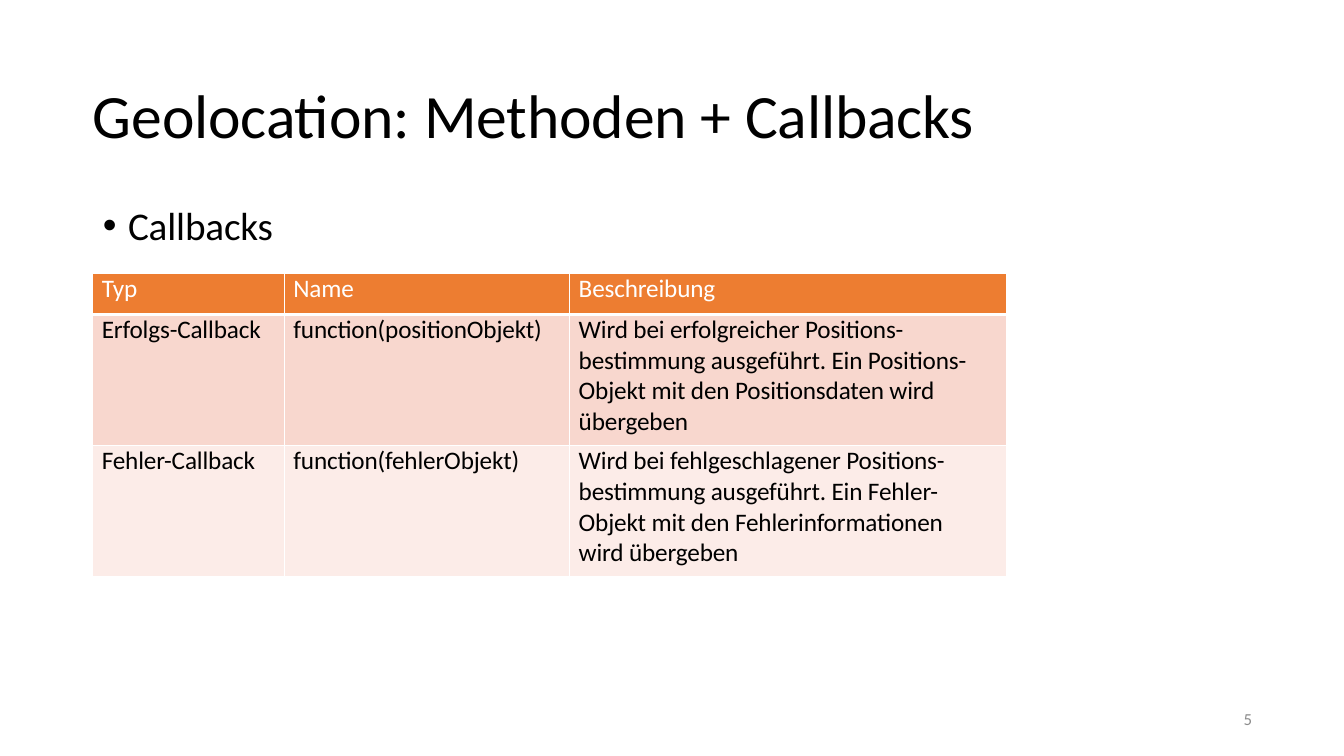
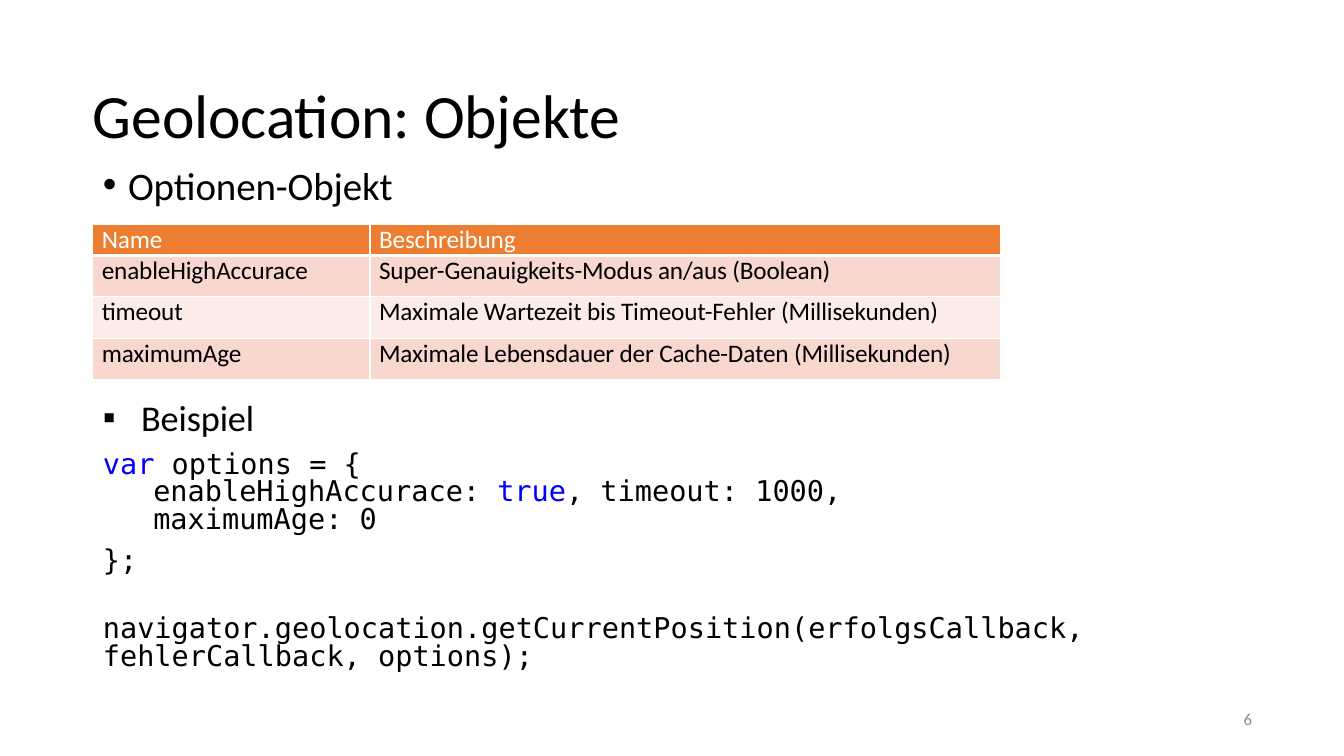
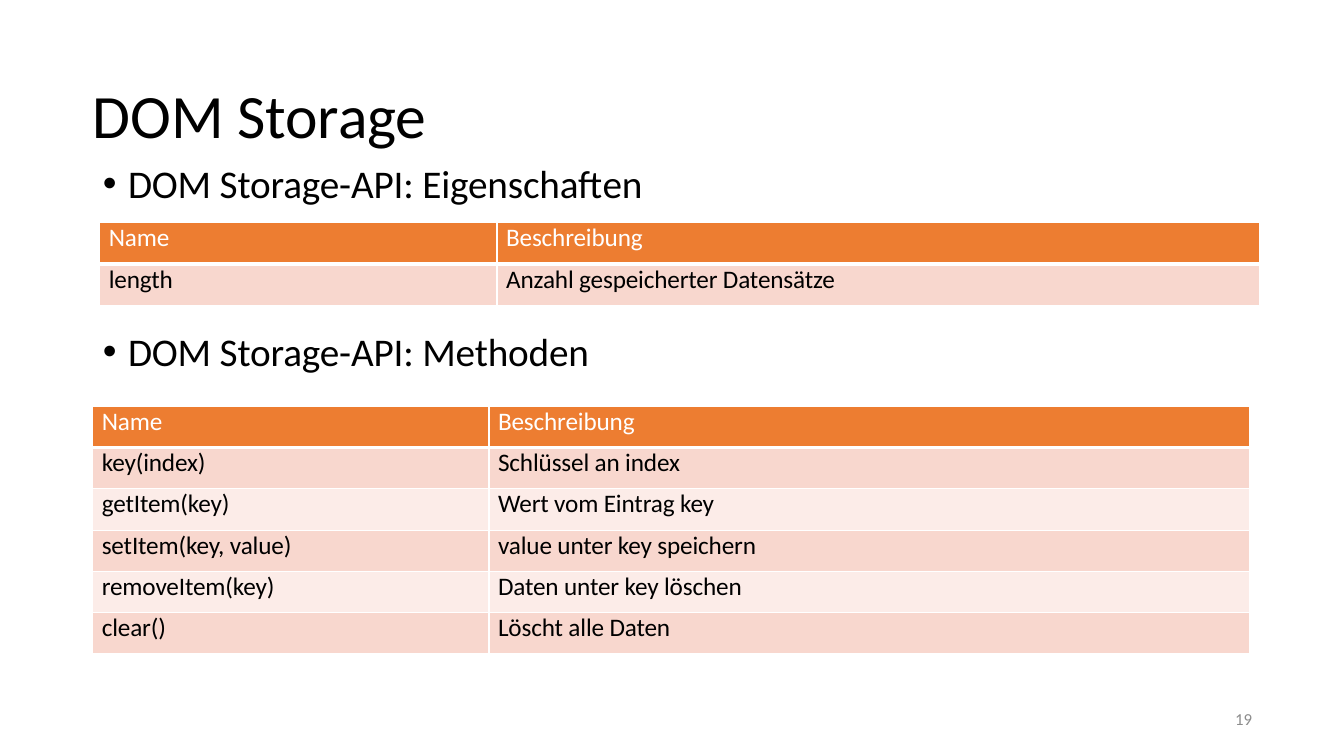
from lxml import etree
from pptx import Presentation
from pptx.dml.color import RGBColor
from pptx.enum.text import MSO_ANCHOR, MSO_AUTO_SIZE, PP_ALIGN
from pptx.oxml.ns import qn
from pptx.util import Emu, Pt

MIDDLE, TOP = MSO_ANCHOR.MIDDLE, MSO_ANCHOR.TOP
NO_FIT = MSO_AUTO_SIZE.NONE
LEFT, RIGHT = PP_ALIGN.LEFT, PP_ALIGN.RIGHT

EMU_PER_PX = 9144
SANS, MONO = "Calibri", "DejaVu Sans Mono"
COLORS = {
    "text": "000000",
    "header_text": "FFFFFF",
    "number": "8C8C8C",
    "keyword": "0000FF",
    "header": "ED7D31",
    "band_dark": "F8D7CE",
    "band_light": "FCECE8",
    "border": "FFFFFF",
}
MARGIN, CONTENT_WIDTH = 92, 1150


def px(length):
    """Turn pixels into EMU."""
    return Emu(length * EMU_PER_PX)


def color(name):
    """Look up a palette colour."""
    return RGBColor.from_string(COLORS[name])


def place(shape, left, top, width, height):
    """Move and size a shape in pixels."""
    shape.left, shape.top = px(left), px(top)
    shape.width, shape.height = px(width), px(height)


def set_frame(frame, anchor, inset_x=0, inset_y=0):
    """Set anchor, wrapping and insets of a text frame."""
    frame.auto_size = NO_FIT
    frame.word_wrap = True
    frame.vertical_anchor = anchor
    frame.margin_left = frame.margin_right = px(inset_x)
    frame.margin_top = frame.margin_bottom = px(inset_y)


def write(paragraph, parts, size, font=SANS, spacing=-10):
    """Write (text, colour) parts, where a newline is a line break."""
    for text, color_name in parts:
        for index, line in enumerate(text.split("\n")):
            if index:
                paragraph.add_line_break()
            run = paragraph.add_run()
            run.text = line
            run.font.name = font
            run.font.size = Pt(size)
            run.font.bold = False
            run.font.color.rgb = color(color_name)
            run.font._element.set("spc", str(spacing))
    for line_break in paragraph._p.findall(qn("a:br")):
        etree.SubElement(line_break, qn("a:rPr"), sz=str(round(size * 100)))


def add_title_slide(deck, title, number):
    """Add a slide with its title and page number."""
    slide = deck.slides.add_slide(deck.slide_layouts[1])
    heading = slide.shapes.title
    place(heading, MARGIN, 40, CONTENT_WIDTH, 145)
    set_frame(heading.text_frame, MIDDLE)
    paragraph = heading.text_frame.paragraphs[0]
    paragraph.alignment = LEFT
    write(paragraph, [(title, "text")], 44)

    page = slide.shapes.add_textbox(px(942), px(695), px(300), px(40))
    set_frame(page.text_frame, MIDDLE)
    paragraph = page.text_frame.paragraphs[0]
    paragraph.alignment = RIGHT
    paragraph.line_spacing = Pt(12.4)
    write(paragraph, [(str(number), "number")], 12, spacing=0)
    return slide


def start_body(slide, top, height):
    """Place the body placeholder and return its text frame."""
    body = slide.placeholders[1]
    place(body, MARGIN, top, CONTENT_WIDTH, height)
    set_frame(body.text_frame, TOP, 10, 5)
    return body.text_frame


def next_paragraph(frame, line_spacing, before, indent):
    """Return a spaced paragraph with a hanging indent."""
    paragraph = frame.paragraphs[0]
    if paragraph.runs:
        paragraph = frame.add_paragraph()
    paragraph.line_spacing = line_spacing
    paragraph.space_before = Pt(before)
    properties = paragraph._p.get_or_add_pPr()
    properties.set("marL", str(px(indent)))
    properties.set("indent", str(-px(indent)))
    return paragraph


def add_bullet(frame, text, size=28, line_spacing=0.9, before=10, indent=25, mark="•"):
    """Add a bulleted line to the body."""
    paragraph = next_paragraph(frame, line_spacing, before, indent)
    properties = paragraph._p.get_or_add_pPr()
    etree.SubElement(properties, qn("a:buFont"), typeface="Arial")
    etree.SubElement(properties, qn("a:buChar"), char=mark)
    write(paragraph, [(text, "text")], size)


def add_code(frame, parts, before=10):
    """Add a code paragraph with a one-inch tab stop."""
    paragraph = next_paragraph(frame, 0.8, before, 0)
    properties = paragraph._p.get_or_add_pPr()
    etree.SubElement(properties, qn("a:buNone"))
    tabs = etree.SubElement(properties, qn("a:tabLst"))
    etree.SubElement(tabs, qn("a:tab"), pos=str(px(100)), algn="l")
    write(paragraph, parts, 20.4, MONO, 0)


def set_borders(cell, bottom):
    """Draw white cell borders with the given bottom width."""
    properties = cell._tc.get_or_add_tcPr()
    widths = {"lnL": 1, "lnR": 1, "lnT": 1, "lnB": bottom}
    for index, (side, width) in enumerate(widths.items()):
        line = etree.Element(qn(f"a:{side}"), w=str(Pt(width)))
        fill = etree.SubElement(line, qn("a:solidFill"))
        etree.SubElement(fill, qn("a:srgbClr"), val=COLORS["border"])
        properties.insert(index, line)


def fill_cell(cell, text, text_color, background, before, bottom):
    """Format one table cell and write its text."""
    cell.margin_left = px(9)
    cell.margin_right = cell.margin_top = cell.margin_bottom = 0
    cell.fill.solid()
    cell.fill.fore_color.rgb = color(background)
    set_borders(cell, bottom)
    paragraph = cell.text_frame.paragraphs[0]
    paragraph.space_before = Pt(before)
    write(paragraph, [(text, text_color)], 18)


def add_banded_table(slide, left, top, widths, heights, rows, first_gap=0.9, later_gap=1.9):
    """Add a table with an orange header and alternating bands."""
    table = slide.shapes.add_table(
        len(rows), len(widths), px(left), px(top), px(sum(widths)), px(sum(heights))
    ).table
    for column, width in zip(table.columns, widths):
        column.width = px(width)
    for index, (row, height, texts) in enumerate(zip(table.rows, heights, rows)):
        row.height = px(height)
        if index == 0:
            look = ("header_text", "header", 1.9, 3)
        else:
            band = "band_dark" if index % 2 else "band_light"
            look = ("text", band, first_gap if index == 1 else later_gap, 1)
        for cell, text in zip(row.cells, texts):
            fill_cell(cell, text, *look)


def build_callbacks(deck):
    """Build the slide on callbacks."""
    slide = add_title_slide(deck, "Geolocation: Methoden + Callbacks", 5)
    add_bullet(start_body(slide, 200, 476), "Callbacks")
    add_banded_table(slide, MARGIN, 271, [190, 283, 433], [41, 130, 130], [
        ("Typ", "Name", "Beschreibung"),
        ("Erfolgs-Callback", "function(positionObjekt)",
         "Wird bei erfolgreicher Positions-\nbestimmung ausgeführt. Ein Positions-\n"
         "Objekt mit den Positionsdaten wird\nübergeben"),
        ("Fehler-Callback", "function(fehlerObjekt)",
         "Wird bei fehlgeschlagener Positions-\nbestimmung ausgeführt. Ein Fehler-\n"
         "Objekt mit den Fehlerinformationen\nwird übergeben"),
    ])


def build_options(deck):
    """Build the slide on the options object."""
    slide = add_title_slide(deck, "Geolocation: Objekte", 6)
    body = start_body(slide, 164, 547)
    add_bullet(body, "Optionen-Objekt", 27.8, 0.8)
    add_bullet(body, "Beispiel", 25.9, 1.6, before=115, indent=38, mark="▪")
    add_code(body, [
        ("var", "keyword"),
        (" options = {\n\tenableHighAccurace: ", "text"),
        ("true", "keyword"),
        (", timeout: 1000,\n\tmaximumAge: 0", "text"),
    ])
    add_code(body, [("};", "text")])
    add_code(body, [(
        "navigator.geolocation.getCurrentPosition(erfolgsCallback, "
        "fehlerCallback, options);", "text")], before=29)
    add_banded_table(slide, MARGIN, 223, [275, 625], [29] + [41] * 3, [
        ("Name", "Beschreibung"),
        ("enableHighAccurace", "Super-Genauigkeits-Modus an/aus (Boolean)"),
        ("timeout", "Maximale Wartezeit bis Timeout-Fehler (Millisekunden)"),
        ("maximumAge", "Maximale Lebensdauer der Cache-Daten (Millisekunden)"),
    ])


def build_storage(deck):
    """Build the slide on DOM storage."""
    slide = add_title_slide(deck, "DOM Storage", 19)
    body = start_body(slide, 158, 518)
    add_bullet(body, "DOM Storage-API: Eigenschaften")
    add_bullet(body, "DOM Storage-API: Methoden", before=90)
    add_banded_table(slide, 99, 221, [394, 756], [41] * 2, [
        ("Name", "Beschreibung"),
        ("length", "Anzahl gespeicherter Datensätze"),
    ])
    add_banded_table(slide, MARGIN, 403, [393, 754], [41] * 6, [
        ("Name", "Beschreibung"),
        ("key(index)", "Schlüssel an index"),
        ("getItem(key)", "Wert vom Eintrag key"),
        ("setItem(key, value)", "value unter key speichern"),
        ("removeItem(key)", "Daten unter key löschen"),
        ("clear()", "Löscht alle Daten"),
    ], first_gap=0, later_gap=1)


def main():
    """Build and save the deck."""
    deck = Presentation()
    deck.slide_width, deck.slide_height = px(1333), px(750)
    build_callbacks(deck)
    build_options(deck)
    build_storage(deck)
    deck.save("out.pptx")


if __name__ == "__main__":
    main()
